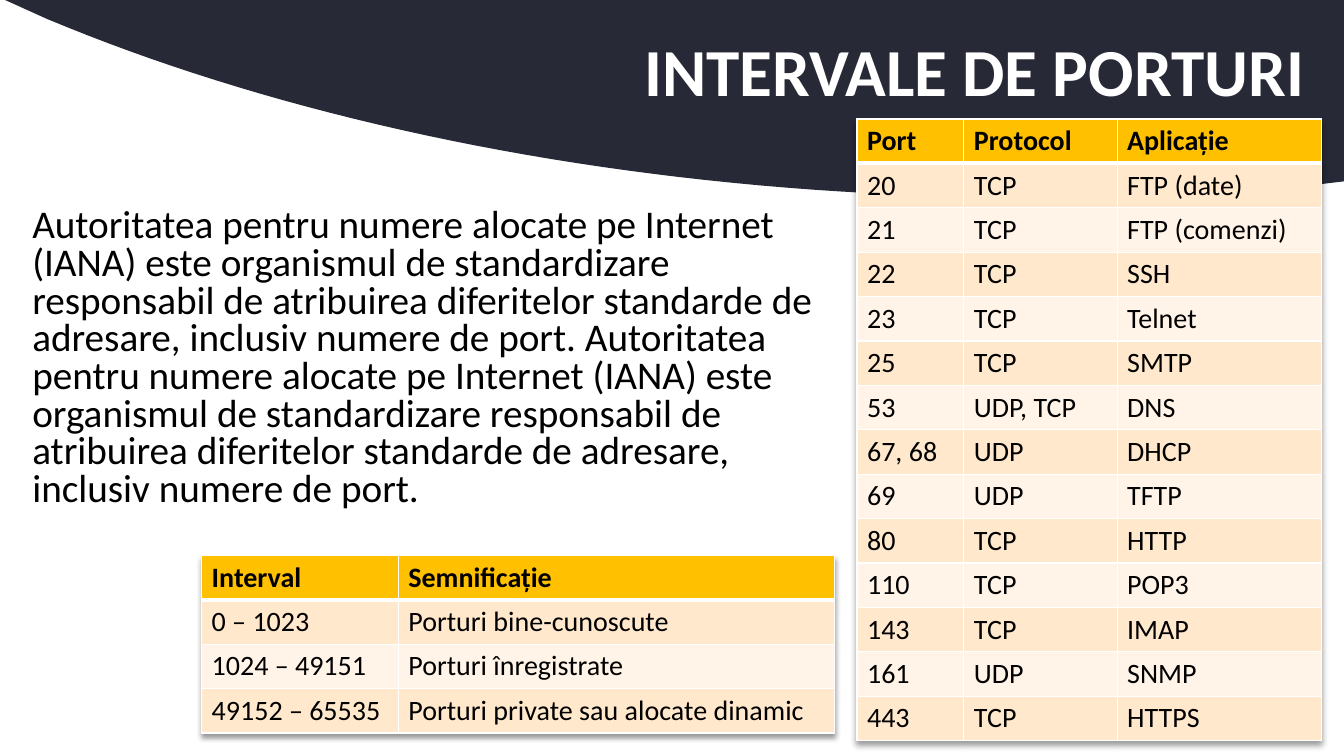
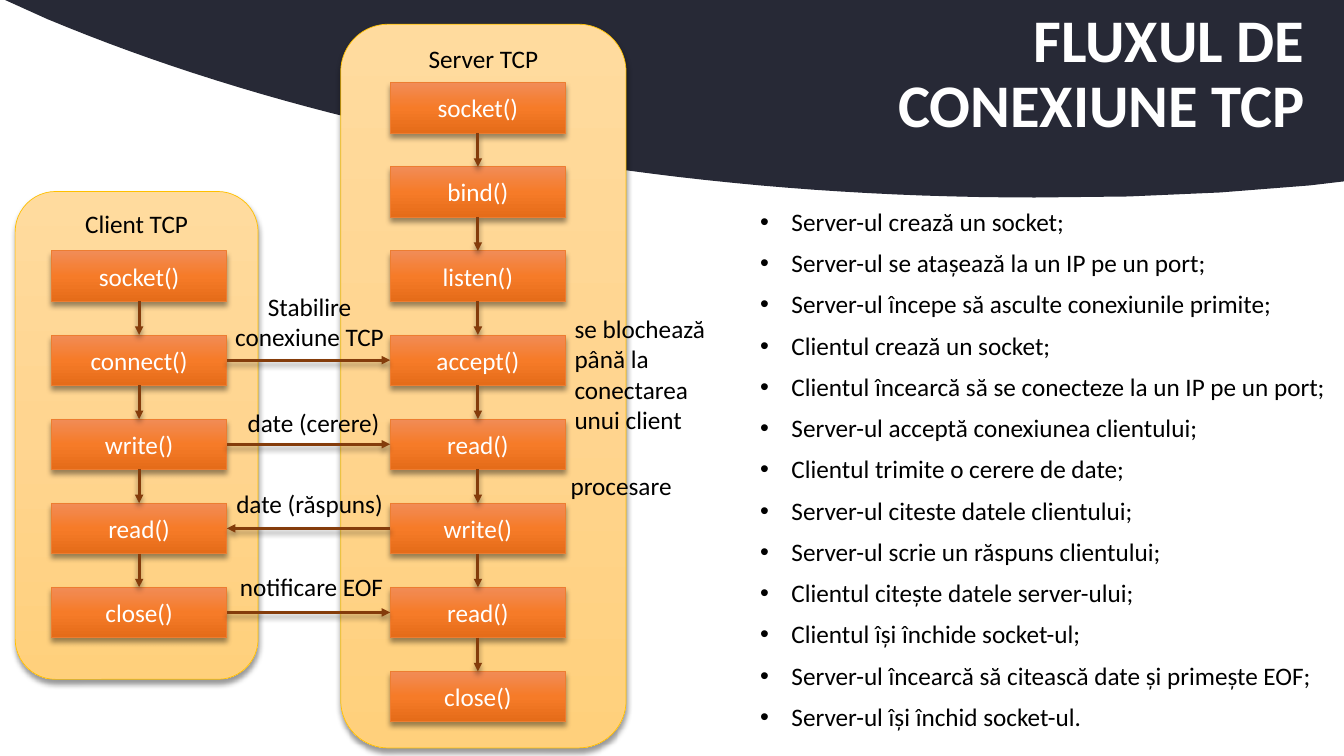
"""Builds two slides on TCP ports and the TCP connection flow."""
from dataclasses import dataclass
from typing import Any, NamedTuple

import lxml.etree
import pptx
import pptx.dml.color
import pptx.enum.shapes
import pptx.enum.text
import pptx.oxml.ns
import pptx.util

Inches = pptx.util.Inches
Pt = pptx.util.Pt
ALIGN = pptx.enum.text.PP_ALIGN
ANCHOR = pptx.enum.text.MSO_ANCHOR
FIT = pptx.enum.text.MSO_AUTO_SIZE
SHAPE = pptx.enum.shapes.MSO_SHAPE


@dataclass(frozen=True)
class Theme:
    font: str = "Calibri"
    dark: str = "272936"
    white: str = "FFFFFF"
    black: str = "000000"
    gold: str = "FFC000"
    rust: str = "843C0B"
    edge: str = "ED7D31"
    bands: tuple[str, str] = ("FFF4E7", "FFE8CC")
    sand: tuple[str, ...] = ("FFDB9E", "FFD590", "FFD07C")
    flame: tuple[str, ...] = ("F18C57", "F67B28", "E56C19")
    title: float = 48
    small: float = 43.2
    lead: float = 28
    cell: float = 20
    text: float = 18


class Box(NamedTuple):
    left: float
    top: float
    width: float
    height: float

    def place(self) -> tuple[int, ...]:
        return tuple(Inches(side) for side in self)


class Grid(NamedTuple):
    left: float
    top: float
    widths: tuple[float, ...]
    rows: tuple[tuple[str, ...], ...]


class Lane(NamedTuple):
    name: str
    panel: Box
    left: float
    first: int
    calls: tuple[str, ...]


class Link(NamedTuple):
    row: int
    right: bool
    text: str
    box: Box


class Note(NamedTuple):
    text: str
    box: Box
    align: Any


THEME = Theme()
ROW = 0.43
STEP = Box(0, 0.82, 1.74, 0.5)
PITCH = 5.84 / 7

RANGES = Grid(2, 5.51, (1.95, 4.33), (
    ("Interval", "Semnificație"),
    ("0 – 1023", "Porturi bine-cunoscute"),
    ("1024 – 49151", "Porturi înregistrate"),
    ("49152 – 65535", "Porturi private sau alocate dinamic"),
))
PORTS = Grid(8.5, 1.18, (1.06, 1.52, 2.03), (
    ("Port", "Protocol", "Aplicație"),
    ("20", "TCP", "FTP (date)"),
    ("21", "TCP", "FTP (comenzi)"),
    ("22", "TCP", "SSH"),
    ("23", "TCP", "Telnet"),
    ("25", "TCP", "SMTP"),
    ("53", "UDP, TCP", "DNS"),
    ("67, 68", "UDP", "DHCP"),
    ("69", "UDP", "TFTP"),
    ("80", "TCP", "HTTP"),
    ("110", "TCP", "POP3"),
    ("143", "TCP", "IMAP"),
    ("161", "UDP", "SNMP"),
    ("443", "TCP", "HTTPS"),
))
LEAD = (
    "Autoritatea pentru numere alocate pe Internet (IANA) este organismul de "
    "standardizare responsabil de atribuirea diferitelor standarde de adresare, "
    "inclusiv numere de port. Autoritatea pentru numere alocate pe Internet (IANA) "
    "este organismul de standardizare responsabil de atribuirea diferitelor "
    "standarde de adresare, inclusiv numere de port."
)
POINTS = (
    "Server-ul crează un socket;",
    "Server-ul se atașează la un IP pe un port;",
    "Server-ul începe să asculte conexiunile primite;",
    "Clientul crează un socket;",
    "Clientul încearcă să se conecteze la un IP pe un port;",
    "Server-ul acceptă conexiunea clientului;",
    "Clientul trimite o cerere de date;",
    "Server-ul citeste datele clientului;",
    "Server-ul scrie un răspuns clientului;",
    "Clientul citește datele server-ului;",
    "Clientul își închide socket-ul;",
    "Server-ul încearcă să citească date și primește EOF;",
    "Server-ul își închid socket-ul.",
)
SERVER = Lane("Server TCP", Box(3.38, 0.24, 2.83, 7.18), 3.87, 0, (
    "socket()", "bind()", "listen()", "accept()", "read()", "write()", "read()", "close()"))
CLIENT = Lane("Client TCP", Box(0.15, 1.9, 2.41, 4.84), 0.51, 2, (
    "socket()", "connect()", "write()", "read()", "close()"))
LINKS = (
    Link(3, True, "Stabilire conexiune TCP", Box(2.06, 2.84, 2.02, 0.71)),
    Link(4, True, "date (cerere)", Box(2.1, 3.99, 2.02, 0.4)),
    Link(5, False, "date (răspuns)", Box(2.06, 4.8, 2.02, 0.4)),
    Link(6, True, "notificare EOF", Box(2.08, 5.62, 2.02, 0.4)),
)
NOTES = (
    Note("se blochează până la conectarea unui client", Box(5.6, 3.06, 1.56, 1.31), ALIGN.LEFT),
    Note("procesare", Box(5.15, 4.62, 2.02, 0.4), ALIGN.CENTER),
)


def hue(code: str) -> Any:
    return pptx.dml.color.RGBColor.from_string(code)


def node(parent: Any, tag: str, **attrs: Any) -> Any:
    values = {key: str(value) for key, value in attrs.items()}
    return lxml.etree.SubElement(parent, pptx.oxml.ns.qn(tag), values)


def style(frame: Any, size: float, color: str, bold: bool = False, align: Any = None) -> None:
    for para in frame.paragraphs:
        para.alignment = align
        for run in para.runs:
            run.font.name = THEME.font
            run.font.size = Pt(size)
            run.font.bold = bold
            run.font.color.rgb = hue(color)


def shade(parent: Any) -> Any:
    effects = node(parent, "a:effectLst")
    outer = node(effects, "a:outerShdw", blurRad=Pt(4), dist=Pt(3), dir=5400000,
                 algn="t", rotWithShape=0)
    node(node(outer, "a:srgbClr", val=THEME.black), "a:alpha", val=40000)
    return effects


def add_band(slide: Any) -> None:
    start, one, two, end = (10.26, 1.96), (6.54, 1.96), (3.13, 1.3), (0.47, 0.19)
    curve = []
    for step in range(41):
        t = step / 40
        parts = ((1 - t) ** 3, 3 * t * (1 - t) ** 2, 3 * t * t * (1 - t), t ** 3)
        curve.append(tuple(sum(part * spot[axis] for part, spot in
                               zip(parts, (start, one, two, end))) for axis in (0, 1)))
    spots = [(13.33, 0), (13.33, 1.8), (12.99, 1.84), (12.1, 1.91), (11.19, 1.95), *curve]
    pen = slide.shapes.build_freeform(Inches(0.05), 0)
    pen.add_line_segments([(Inches(x), Inches(y)) for x, y in spots])
    band = pen.convert_to_shape()
    band.shadow.inherit = False
    band.fill.solid()
    band.fill.fore_color.rgb = hue(THEME.dark)
    band.line.fill.background()
    band.element.nvSpPr.cNvPr.set("id", "99")
    slide.slide_layout.shapes.element.insert(2, band.element)


def set_title(slide: Any, text: str, size: float) -> None:
    frame = slide.shapes.title.text_frame
    frame.text = text
    frame.auto_size = FIT.NONE
    frame.vertical_anchor = ANCHOR.MIDDLE
    frame.margin_right = Inches(0.4)
    style(frame, size, THEME.white, True, ALIGN.RIGHT)
    frame.paragraphs[0].line_spacing = 0.9


def set_body(slide: Any, box: Box, lines: tuple[str, ...], size: float,
             gap: float, dots: bool) -> None:
    body = slide.placeholders[1]
    body.left, body.top, body.width, body.height = box.place()
    frame = body.text_frame
    frame.text = "\n".join(lines)
    frame.auto_size = FIT.NONE
    hang = Inches(0.31) if dots else 0
    for index, para in enumerate(frame.paragraphs):
        props = para._p.get_or_add_pPr()
        props.set("marL", str(hang))
        props.set("indent", str(-hang))
        if dots:
            node(props, "a:buChar", char="•")
        else:
            node(props, "a:buNone")
        para.line_spacing = gap
        para.space_before = Pt(10 if index else 0)
    style(frame, size, THEME.black)


def add_grid(slide: Any, grid: Grid) -> None:
    count = len(grid.rows)
    box = Box(grid.left, grid.top, sum(grid.widths), ROW * count)
    table = slide.shapes.add_table(count, len(grid.widths), *box.place()).table
    props = table._tbl.tblPr
    props.insert(0, shade(props))
    for col, width in zip(table.columns, grid.widths):
        col.width = Inches(width)
    for index, texts in enumerate(grid.rows):
        table.rows[index].height = Inches(ROW)
        for col, text in enumerate(texts):
            cell = table.cell(index, col)
            cell.text = text
            style(cell.text_frame, THEME.cell, THEME.black, index == 0)
            edges = {"L": 1, "R": 1, "T": 3 if index == 1 else 1, "B": 1 if index else 3}
            for side, width in edges.items():
                line = node(cell._tc.get_or_add_tcPr(), f"a:ln{side}", w=Pt(width))
                node(node(line, "a:solidFill"), "a:srgbClr", val=THEME.white)
            cell.fill.solid()
            cell.fill.fore_color.rgb = hue(THEME.bands[index % 2] if index else THEME.gold)


def add_block(slide: Any, kind: Any, box: Box, text: str, stops: tuple[str, ...],
              edge: str, color: str, anchor: Any) -> None:
    shape = slide.shapes.add_shape(kind, *box.place())
    shape.fill.gradient()
    shape.fill.gradient_angle = 270
    ramp = shape.element.spPr.find(".//" + pptx.oxml.ns.qn("a:gsLst"))
    ramp.clear()
    for index, stop in enumerate(stops):
        node(node(ramp, "a:gs", pos=index * 50000), "a:srgbClr", val=stop)
    shape.line.color.rgb = hue(edge)
    shape.line.width = Pt(0.5)
    shade(shape.element.spPr)
    shape.text_frame.text = text
    shape.text_frame.vertical_anchor = anchor
    style(shape.text_frame, THEME.text, color, align=ALIGN.CENTER)


def add_arrow(slide: Any, *ends: float) -> None:
    arrow = slide.shapes.add_connector(pptx.enum.shapes.MSO_CONNECTOR.STRAIGHT,
                                       *(Inches(end) for end in ends))
    arrow.line.color.rgb = hue(THEME.rust)
    arrow.line.width = Pt(2)
    node(arrow.line._get_or_add_ln(), "a:tailEnd", type="triangle")
    shade(arrow.element.spPr)


def add_note(slide: Any, note: Note) -> None:
    frame = slide.shapes.add_textbox(*note.box.place()).text_frame
    frame.word_wrap = True
    frame.auto_size = FIT.SHAPE_TO_FIT_TEXT
    frame.text = note.text
    style(frame, THEME.text, THEME.black, align=note.align)


def row_top(row: int) -> float:
    return STEP.top + PITCH * row


def add_lane(slide: Any, lane: Lane) -> None:
    mid = lane.left + STEP.width / 2
    for row, call in enumerate(lane.calls, lane.first):
        top = row_top(row)
        add_block(slide, SHAPE.RECTANGLE, STEP._replace(left=lane.left, top=top), call,
                  THEME.flame, THEME.edge, THEME.white, ANCHOR.MIDDLE)
        if row > lane.first:
            add_arrow(slide, mid, row_top(row - 1) + STEP.height, mid, top)


def main() -> None:
    deck = pptx.Presentation()
    deck.slide_width, deck.slide_height = Inches(13.33), Inches(7.5)
    layout = deck.slide_layouts[1]
    head = layout.placeholders[0]
    head.left, head.top, head.width, head.height = Box(0.92, 0.02, 12.42, 1.45).place()

    ports = deck.slides.add_slide(layout)
    add_band(ports)
    set_title(ports, "INTERVALE DE PORTURI", THEME.title)
    set_body(ports, Box(0.22, 2.02, 8.18, 3.31), (LEAD,), THEME.lead, 0.8, False)
    for grid in (RANGES, PORTS):
        add_grid(ports, grid)

    flow = deck.slides.add_slide(layout)
    set_title(flow, "FLUXUL DE\vCONEXIUNE TCP", THEME.small)
    set_body(flow, Box(7.44, 2.03, 5.89, 5.45), POINTS, THEME.text, 0.9, True)
    for lane in (SERVER, CLIENT):
        add_block(flow, SHAPE.ROUNDED_RECTANGLE, lane.panel, lane.name,
                  THEME.sand, THEME.gold, THEME.black, ANCHOR.TOP)
        add_lane(flow, lane)
    for link in LINKS:
        ends = (CLIENT.left + STEP.width, SERVER.left)
        start, end = ends if link.right else ends[::-1]
        level = row_top(link.row) + STEP.height / 2
        add_arrow(flow, start, level, end, level)
        add_note(flow, Note(link.text, link.box, ALIGN.CENTER))
    for note in NOTES:
        add_note(flow, note)
    deck.save("out.pptx")


if __name__ == "__main__":
    main()
